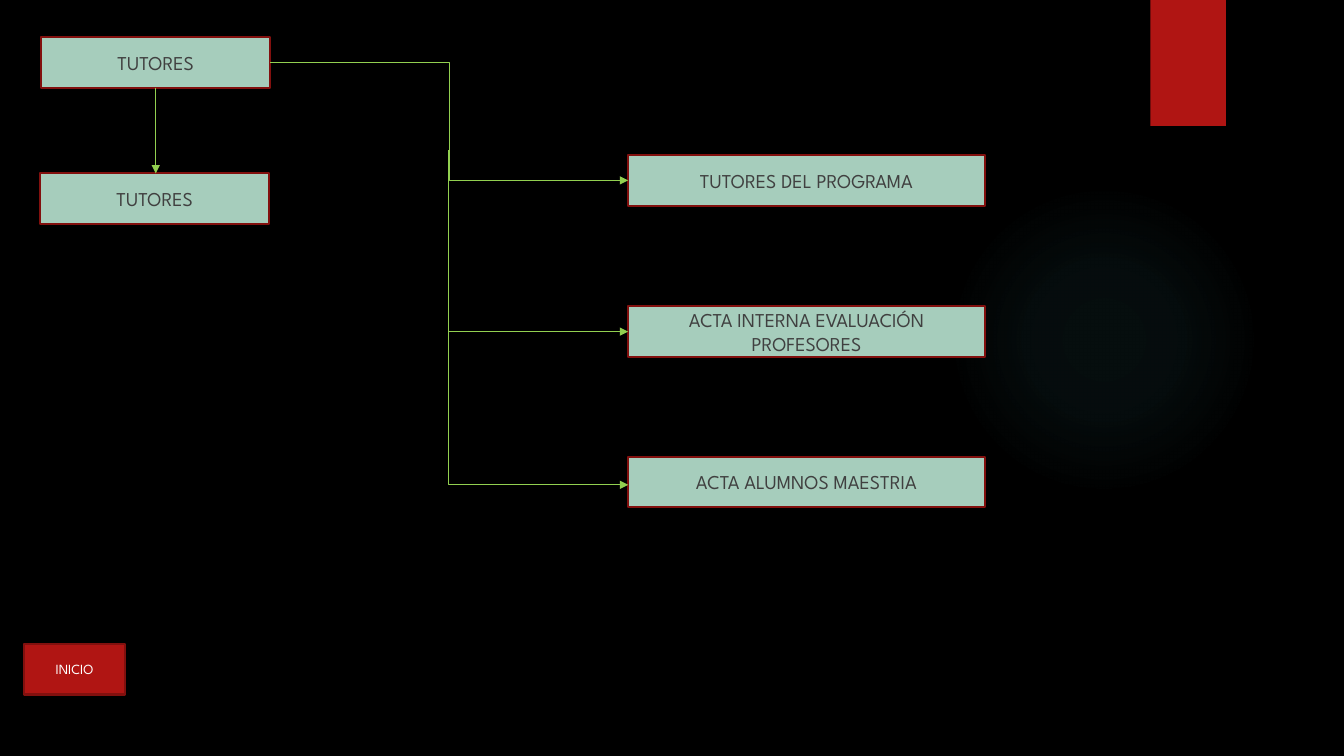
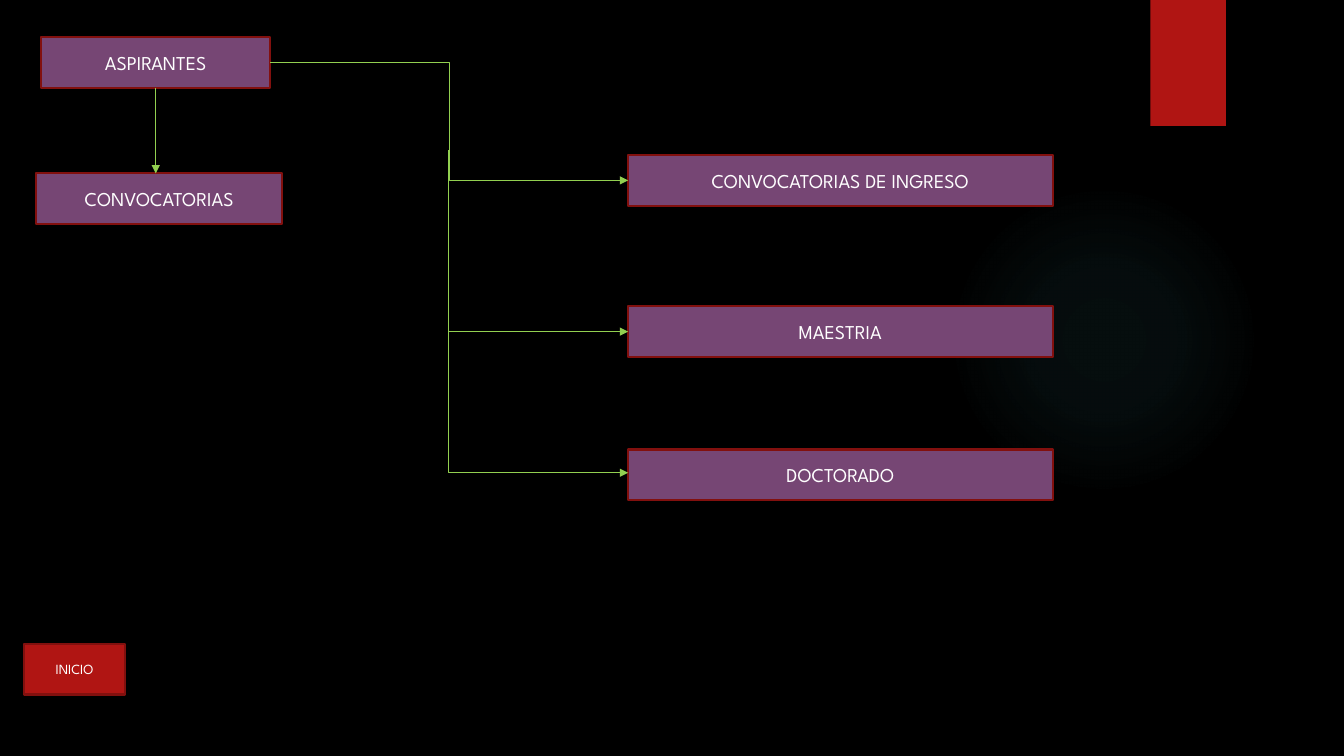
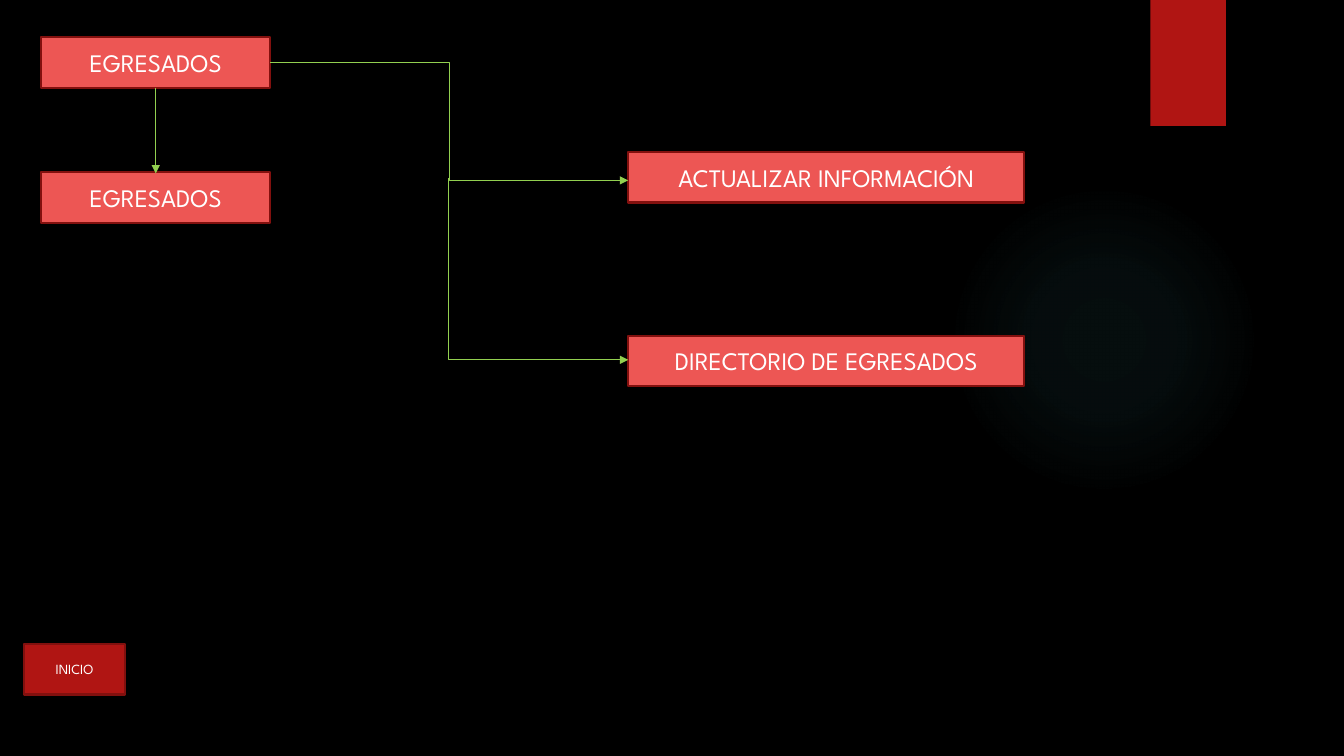
from lxml import etree
from pptx import Presentation
from pptx import util as u
from pptx.dml.color import RGBColor
from pptx.enum import shapes, text
from pptx.oxml import ns, parse_xml

BLACK, WHITE, GREY = "000000", "FFFFFF", "404040"
RED, DARK_RED, GREEN, GLOW = "B01513", "82100E", "92D050", "50B9C1"
MINT, PURPLE, CORAL = "A6CDBC", "764674", "ED5654"

BOX_HEIGHT = 0.5
ROOT_LEFT, ROOT_TOP, ROOT_WIDTH = 0.41, 0.37, 2.27
BRANCH_LEFT, TRUNK = 6.23, 4.45
FIRST_ARROW, BRANCH_DROP = 1.79, 1.8

# Each branch is (label, top of its box, height at which its arrow arrives).
CHARTS = [
    dict(
        fill=MINT, color=GREY, size=14, root="TUTORES",
        child=("TUTORES", 0.4, 1.72, 2.27), right=9.77,
        branches=[
            ("TUTORES DEL PROGRAMA", 1.54, FIRST_ARROW),
            ("ACTA INTERNA EVALUACIÓN PROFESORES", 3.04, 3.29),
            ("ACTA ALUMNOS MAESTRIA", 4.53, 4.81),
        ],
    ),
    dict(
        fill=PURPLE, color=WHITE, size=14, root="ASPIRANTES",
        child=("CONVOCATORIAS", 0.36, 1.72, 2.44), right=10.44,
        branches=[
            ("CONVOCATORIAS DE INGRESO", 1.54, FIRST_ARROW),
            ("MAESTRIA", 3.04, 3.29),
            ("DOCTORADO", 4.46, 4.69),
        ],
    ),
    dict(
        fill=CORAL, color=WHITE, size=18, root="EGRESADOS",
        child=("EGRESADOS", 0.41, 1.71, 2.27), right=10.16,
        branches=[
            ("ACTUALIZAR INFORMACIÓN", 1.51, FIRST_ARROW),
            ("DIRECTORIO DE EGRESADOS", 3.33, 3.57),
        ],
    ),
]


def rgb(value):
    return RGBColor.from_string(value)


class Deck:
    """Holds the shared style and the slide being drawn."""

    font = "League Spartan"

    def __init__(self):
        self.presentation = Presentation()
        self.presentation.slide_width = u.Inches(13.33)
        self.presentation.slide_height = u.Inches(7.5)
        self.layout = self.presentation.slide_layouts[6]
        self.slide = None

    def add_slide(self):
        first = self.slide is None
        if first:
            for placeholder in list(self.layout.placeholders):
                self.layout.shapes.element.remove(placeholder.element)
        self.slide = self.presentation.slides.add_slide(self.layout)
        if first:
            self.decorate_layout()

    def decorate_layout(self):
        """Draw the common decoration and move it to the layout."""
        background = self.layout.background.fill
        background.solid()
        background.fore_color.rgb = rgb(BLACK)
        glow = self.shape(shapes.MSO_SHAPE.OVAL, 9.41, 1.83, 3.08, 3.08, GLOW)
        self.radial_fade(glow, GLOW, [(0, 7), (36, 6), (69, 0)])
        band = self.shape(shapes.MSO_SHAPE.RECTANGLE, 11.41, 0, 0.75, 1.25, RED)
        for shape in (glow, band):
            self.layout.shapes.element.append(shape.element)

    def radial_fade(self, shape, color, stops):
        """Replace the fill by a radial one; stops are (position, opacity) in percent."""
        stop_xml = "".join(
            f'<a:gs pos="{position * 1000}"><a:srgbClr val="{color}">'
            f'<a:alpha val="{opacity * 1000}"/></a:srgbClr></a:gs>'
            for position, opacity in stops
        )
        gradient = parse_xml(
            f'<a:gradFill {ns.nsdecls("a")}><a:gsLst>{stop_xml}</a:gsLst>'
            '<a:path path="circle">'
            '<a:fillToRect l="50000" t="50000" r="50000" b="50000"/>'
            "</a:path></a:gradFill>"
        )
        properties = shape.element.spPr
        properties.replace(properties.find(ns.qn("a:solidFill")), gradient)

    def shape(self, kind, left, top, width, height, fill):
        shape = self.slide.shapes.add_shape(
            kind, u.Inches(left), u.Inches(top), u.Inches(width), u.Inches(height)
        )
        shape.shadow.inherit = False
        shape.fill.solid()
        shape.fill.fore_color.rgb = rgb(fill)
        shape.line.fill.background()
        return shape

    def box(self, label, left, top, width, fill, color, size):
        shape = self.shape(
            shapes.MSO_SHAPE.RECTANGLE, left, top, width, BOX_HEIGHT, fill
        )
        shape.line.color.rgb = rgb(DARK_RED)
        shape.line.width = u.Pt(1.5)
        frame = shape.text_frame
        frame.word_wrap = True
        frame.vertical_anchor = text.MSO_ANCHOR.MIDDLE
        paragraph = frame.paragraphs[0]
        paragraph.alignment = text.PP_ALIGN.CENTER
        run = paragraph.add_run()
        run.text = label
        run.font.name = self.font
        run.font.size = u.Pt(size)
        run.font.color.rgb = rgb(color)

    def arrow(self, kind, x1, y1, x2, y2):
        connector = self.slide.shapes.add_connector(
            kind, u.Inches(x1), u.Inches(y1), u.Inches(x2), u.Inches(y2)
        )
        connector.line.color.rgb = rgb(GREEN)
        connector.line.width = u.Pt(0.75)
        properties = connector.element.spPr
        line = properties.find(ns.qn("a:ln"))
        etree.SubElement(line, ns.qn("a:tailEnd"), type="triangle")
        etree.SubElement(properties, ns.qn("a:effectLst"))
        return connector

    def corner_arrow(self, x1, y1, x2, y2):
        """Go down, then right: a one-bend connector turned and mirrored about its centre."""
        center_x, center_y = (x1 + x2) / 2, (y1 + y2) / 2
        half_run, half_drop = (x2 - x1) / 2, (y2 - y1) / 2
        connector = self.arrow(
            shapes.MSO_CONNECTOR.ELBOW,
            center_x - half_drop, center_y - half_run,
            center_x + half_drop, center_y + half_run,
        )
        properties = connector.element.spPr
        properties.find(ns.qn("a:prstGeom")).set("prst", "bentConnector2")
        transform = properties.find(ns.qn("a:xfrm"))
        transform.set("rot", str(270 * 60000))
        transform.set("flipH", "1")

    def chart(self, fill, color, size, root, child, right, branches):
        """Draw a root box with a child below it and branches to its right."""
        self.add_slide()
        style = (fill, color, size)
        self.box(root, ROOT_LEFT, ROOT_TOP, ROOT_WIDTH, *style)
        self.box(*child, *style)
        for label, top, _ in branches:
            self.box(label, BRANCH_LEFT, top, right - BRANCH_LEFT, *style)

        root_center = ROOT_LEFT + ROOT_WIDTH / 2
        self.arrow(
            shapes.MSO_CONNECTOR.ELBOW,
            ROOT_LEFT + ROOT_WIDTH, ROOT_TOP + BOX_HEIGHT / 2,
            BRANCH_LEFT, FIRST_ARROW,
        )
        self.arrow(
            shapes.MSO_CONNECTOR.STRAIGHT,
            root_center, ROOT_TOP + BOX_HEIGHT, root_center, 1.72,
        )
        for _, _, arrival in branches[1:]:
            self.corner_arrow(TRUNK, arrival - BRANCH_DROP, BRANCH_LEFT, arrival)
        self.box("INICIO", 0.24, 6.39, 1, RED, WHITE, 10)


def main():
    deck = Deck()
    for chart in CHARTS:
        deck.chart(**chart)
    deck.presentation.save("out.pptx")


if __name__ == "__main__":
    main()
